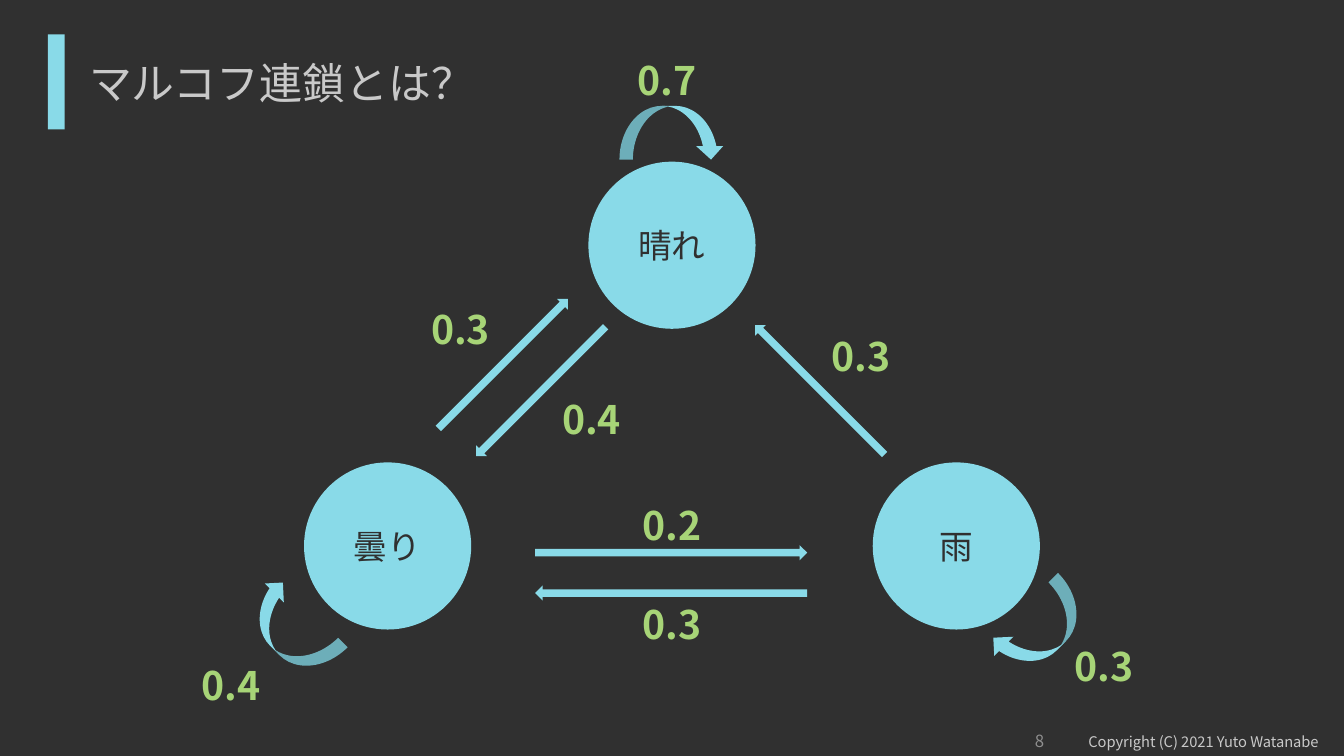
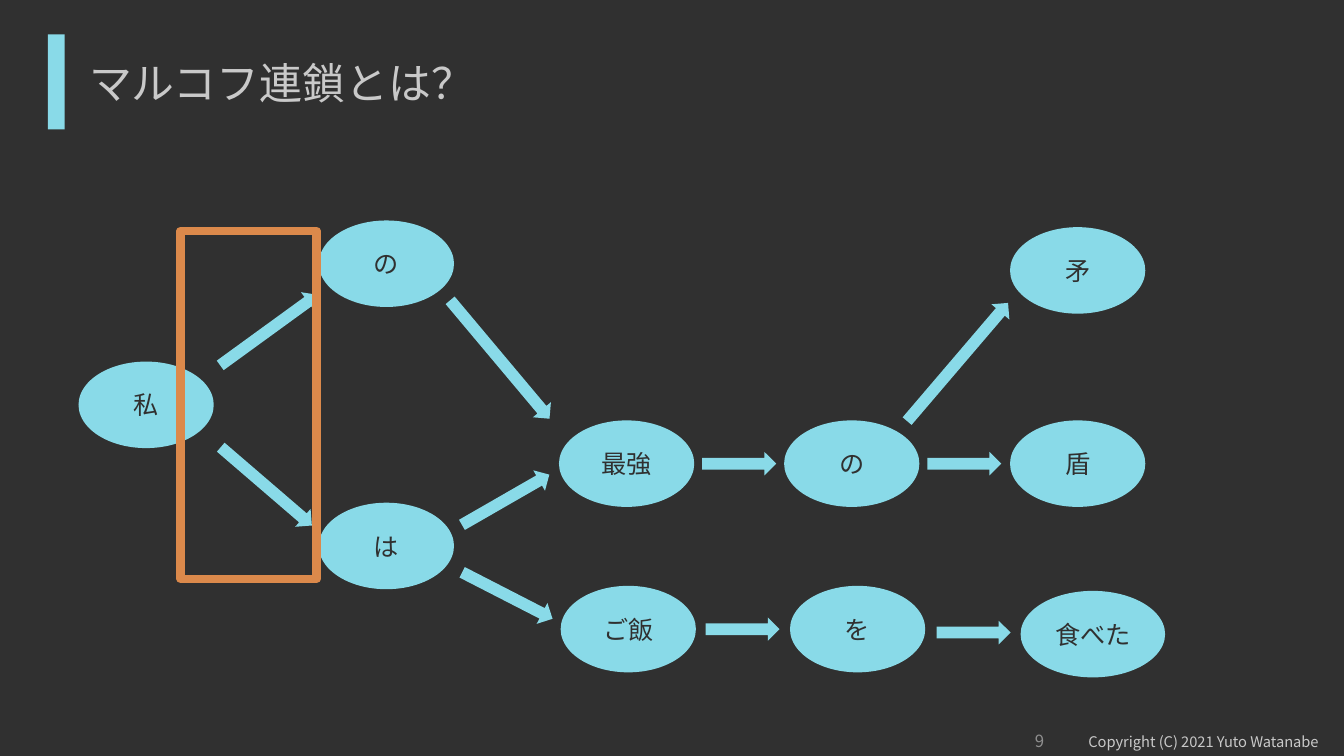
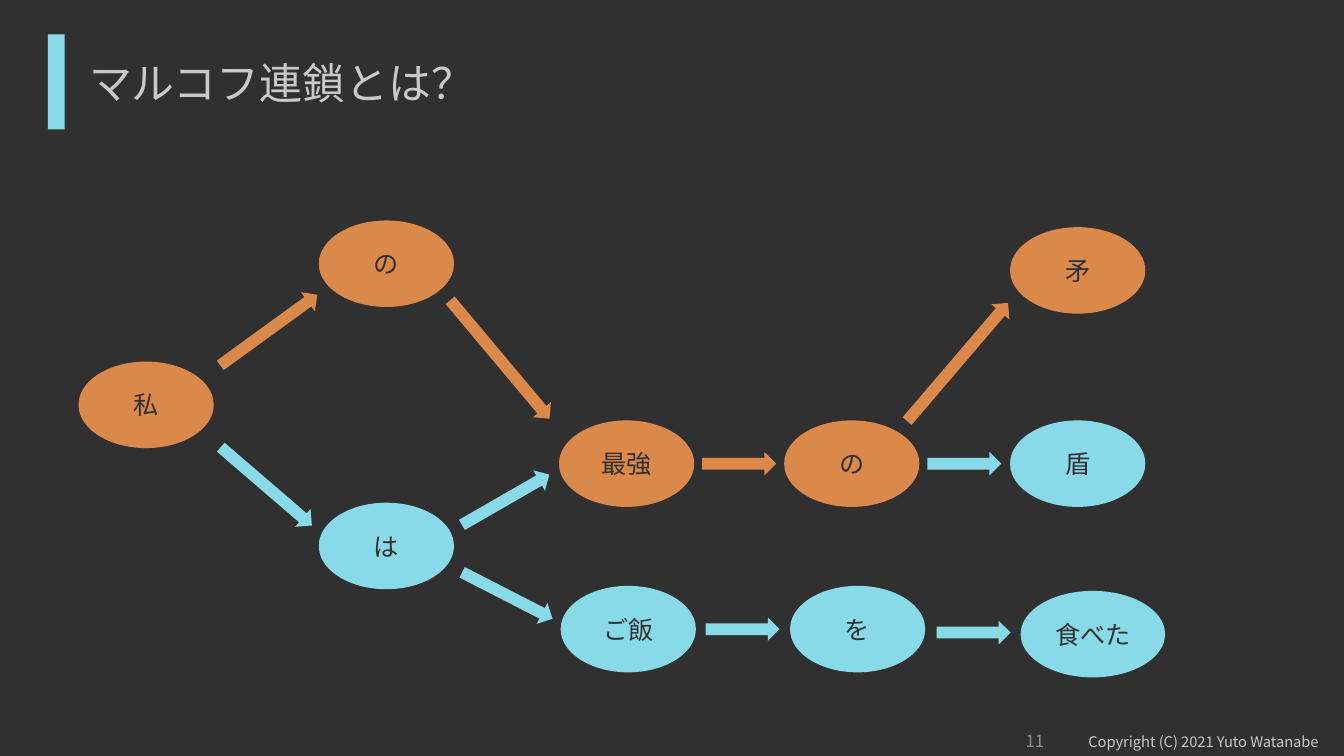
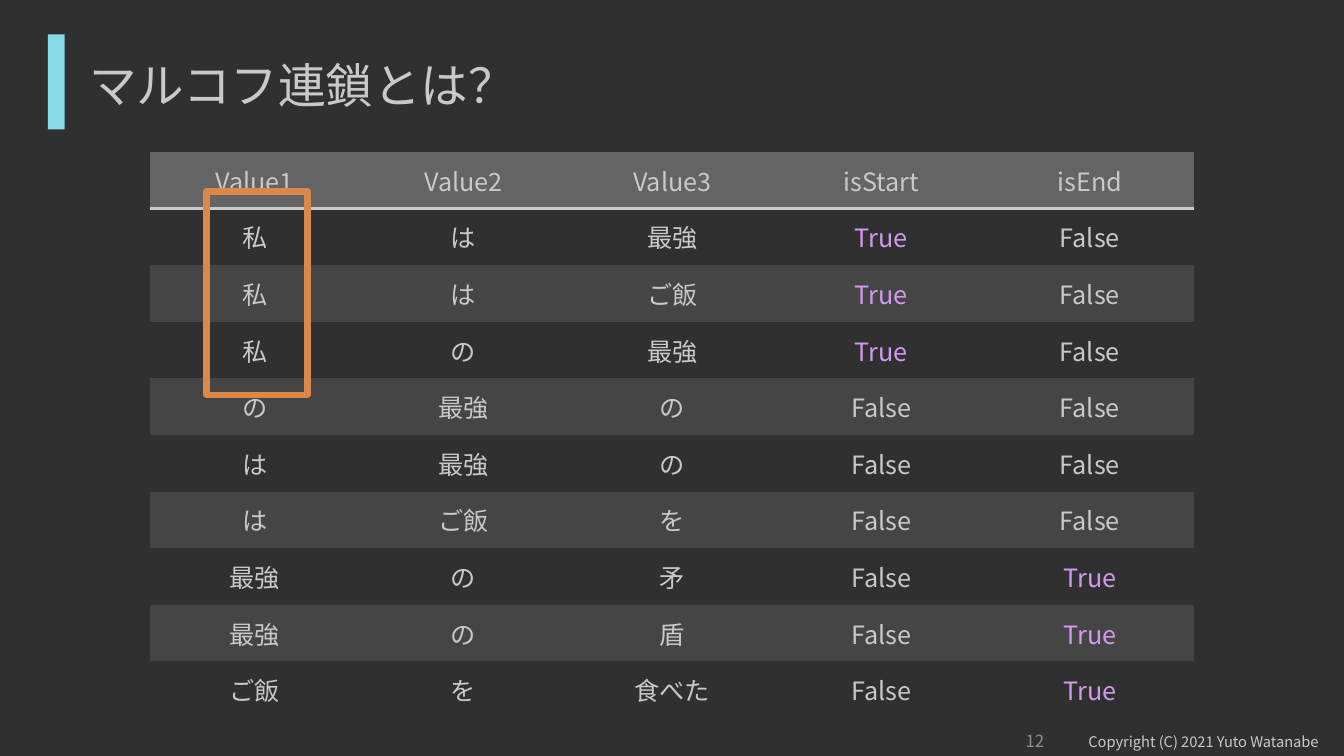
from lxml import etree
from pptx import Presentation
from pptx import util as u
from pptx.dml.color import RGBColor
from pptx.enum import shapes, text
from pptx.oxml.ns import qn

FONT = "Noto Sans CJK JP"
COLOURS = {
    "ground": "303030",
    "text": "C9C9C9",
    "faint": "8F8F8F",
    "blue": "89DAE8",
    "orange": "DB894B",
    "green": "A7D477",
    "purple": "D19AED",
    "header": "646464",
    "band": "454545",
}
COLOURS = {name: RGBColor.from_string(value) for name, value in COLOURS.items()}
SHAPE = shapes.MSO_SHAPE
ALIGN = text.PP_ALIGN

prs = Presentation()
prs.slide_width, prs.slide_height = u.Inches(13.333), u.Inches(7.5)
GRID = prs.slide_width / 160


def write(frame, words, size, colour, align=ALIGN.CENTER, bold=False, anchor=text.MSO_ANCHOR.MIDDLE):
    frame.text = words
    frame.word_wrap = True
    frame.vertical_anchor = anchor
    paragraph = frame.paragraphs[0]
    paragraph.alignment = align
    font = paragraph.runs[0].font
    font.size, font.bold, font.name = u.Pt(size), bold, FONT
    font.color.rgb = COLOURS[colour]
    properties = paragraph.runs[0].font._element
    etree.SubElement(properties, qn("a:ea")).set("typeface", FONT)


def place(slide, kind, cx, cy, width, height, fill=None, turn=0, frame_line=None):
    area = [round(n * GRID) for n in (cx - width / 2, cy - height / 2, width, height)]
    if kind is None:
        return slide.shapes.add_textbox(*area)
    part = slide.shapes.add_shape(kind, *area)
    part.shadow.inherit = False
    part.rotation = turn
    if fill:
        part.fill.solid()
        part.fill.fore_color.rgb = COLOURS[fill]
    else:
        part.fill.background()
    if frame_line:
        part.line.color.rgb = COLOURS["orange"]
        part.line.width = u.Pt(frame_line)
    else:
        part.line.fill.background()
    return part


background = prs.slide_master.background.fill
background.solid()
background.fore_color.rgb = COLOURS["ground"]

layout = prs.slide_layouts[5]
for holder in list(layout.placeholders):
    if holder.placeholder_format.type == shapes.PP_PLACEHOLDER.TITLE:
        holder.left, holder.top, holder.width, holder.height = [
            round(n * GRID) for n in (9.4, 6.8, 82.9, 5.9)
        ]
    else:
        layout.shapes.element.remove(holder.element)

pages = [(8, 30.6), (9, 30.6), (11, 30.6), (12, 34)]
slides = [prs.slides.add_slide(layout) for page in pages]
states, words_map, chosen_path, chain_table = slides

accent = place(states, SHAPE.RECTANGLE, 6.7, 9.75, 2, 11.3, "blue")
copyright_line = place(states, None, 144.2, 88.3, 31.6, 3.4)
write(copyright_line.text_frame, "Copyright (C) 2021 Yuto Watanabe", 10.5, "text", ALIGN.LEFT)
for shared in (accent, copyright_line):
    layout.shapes.element.append(shared.element)

for slide, (number, title_size) in zip(slides, pages):
    heading = slide.shapes.title.text_frame
    write(heading, "マルコフ連鎖とは？", title_size, "text", ALIGN.LEFT, anchor=text.MSO_ANCHOR.TOP)
    heading.auto_size = text.MSO_AUTO_SIZE.NONE
    heading.paragraphs[0].line_spacing = 0.9
    page_number = place(slide, None, 121.65, 88.2, 7.7, 3.2)
    write(page_number.text_frame, str(number), 12, "faint", ALIGN.RIGHT)

for weather, cx, cy in [("晴れ", 80, 29.2), ("曇り", 46.15, 65), ("雨", 113.85, 65)]:
    state = place(states, SHAPE.OVAL, cx, cy, 19.9, 19.9, "blue")
    write(state.text_frame, weather, 24, "ground")

for cx, cy, length, turn in [
    (64.4, 46.6, 21.8, 135),
    (97.6, 46.4, 21.8, 225),
    (59.9, 43.3, 21.8, 315),
    (79.9, 65.8, 32.4, 0),
    (79.9, 70.6, 32.4, 180),
]:
    place(states, SHAPE.RIGHT_ARROW, cx, cy, length, 1.8, "blue", turn)

for cx, cy, turn in [(80, 15.8, 0), (123.8, 74.9, 135), (34.7, 74.9, 225)]:
    place(states, SHAPE.CURVED_DOWN_ARROW, cx, cy, 12.5, 6.4, "blue", turn)

for chance, cx, cy, align in [
    ("0.3", 55.3, 39.1, ALIGN.LEFT),
    ("0.4", 70.9, 49.9, ALIGN.LEFT),
    ("0.7", 79.9, 9.5, ALIGN.LEFT),
    ("0.4", 28, 81.5, ALIGN.LEFT),
    ("0.2", 80, 62.5, ALIGN.CENTER),
    ("0.3", 80, 74.3, ALIGN.CENTER),
    ("0.3", 131.9, 79.3, ALIGN.LEFT),
    ("0.3", 103, 42.3, ALIGN.LEFT),
]:
    probability = place(states, None, cx, cy, 10.3, 6.8)
    write(probability.text_frame, chance, 28, "green", align, True)

words = [
    ("私", 17.4, 48.2, True),
    ("の", 46, 31.4, True),
    ("は", 46, 65, False),
    ("ご飯", 74.8, 74.9, False),
    ("最強", 74.6, 55.2, True),
    ("の", 101.4, 55.2, True),
    ("を", 102.1, 74.9, False),
    ("食べた", 130.1, 75.5, False),
    ("盾", 128.3, 55.2, False),
    ("矛", 128.3, 32.2, True),
]
steps = [
    (32, 39.3, 14.3, 324, True),
    (31.7, 57.9, 14.3, 40.7, False),
    (60.2, 59.5, 12, 330.1, False),
    (60.4, 70.9, 12.1, 27.2, False),
    (59.5, 42.8, 18.4, 50, True),
    (88, 55.2, 8.8, 0, True),
    (114.8, 55.2, 8.8, 0, False),
    (114, 43.1, 18.5, 310.5, True),
    (88.4, 74.9, 8.8, 0, False),
    (115.9, 75.3, 8.8, 0, False),
]
for slide, path_colour in [(words_map, "blue"), (chosen_path, "orange")]:
    for word, cx, cy, on_path in words:
        width = 17.2 if len(word) > 2 else 16.1
        node = place(slide, SHAPE.OVAL, cx, cy, width, 10.3, path_colour if on_path else "blue")
        write(node.text_frame, word, 18, "ground")
    for cx, cy, length, turn, on_path in steps:
        place(slide, SHAPE.RIGHT_ARROW, cx, cy, length, 2.8, path_colour if on_path else "blue", turn)

place(words_map, SHAPE.RECTANGLE, 29.6, 48.2, 16.2, 41.4, frame_line=6)

rows = [
    ("Value1", "Value2", "Value3", "isStart", "isEnd"),
    ("私", "は", "最強", "True", "False"),
    ("私", "は", "ご飯", "True", "False"),
    ("私", "の", "最強", "True", "False"),
    ("の", "最強", "の", "False", "False"),
    ("は", "最強", "の", "False", "False"),
    ("は", "ご飯", "を", "False", "False"),
    ("最強", "の", "矛", "False", "True"),
    ("最強", "の", "盾", "False", "True"),
    ("ご飯", "を", "食べた", "False", "True"),
]
chain = chain_table.shapes.add_table(
    len(rows), len(rows[0]), *[round(n * GRID) for n in (17.9, 18.1, 124.3, 67.4)]
)
chain.element.find(".//" + qn("a:tableStyleId")).text = "{2D5ABB26-0587-4C30-8999-92F81FD0307C}"
for r, row in enumerate(rows):
    for c, value in enumerate(row):
        cell = chain.table.cell(r, c)
        write(cell.text_frame, value, 18, "purple" if value == "True" else "text")
        cell.vertical_anchor = text.MSO_ANCHOR.MIDDLE
        if r % 2:
            cell.fill.background()
        else:
            cell.fill.solid()
            cell.fill.fore_color.rgb = COLOURS["band" if r else "header"]
        if r == 0:
            rule = etree.Element(qn("a:lnB"), w=str(u.Pt(3)))
            ink = etree.SubElement(rule, qn("a:solidFill"))
            etree.SubElement(ink, qn("a:srgbClr"), val=str(COLOURS["text"]))
            cell._tc.tcPr.insert(0, rule)

place(chain_table, SHAPE.RECTANGLE, 30.6, 34.9, 12, 24.2, frame_line=4.5)

prs.save("out.pptx")
